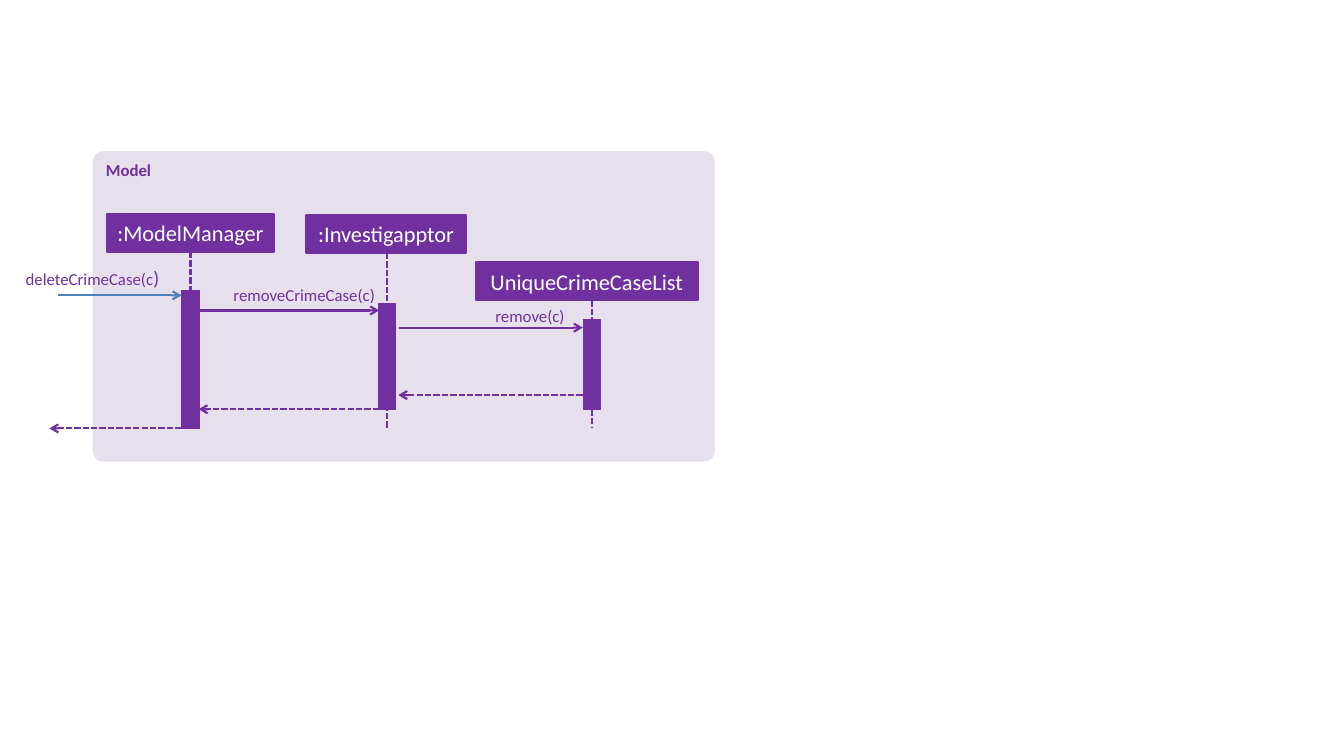
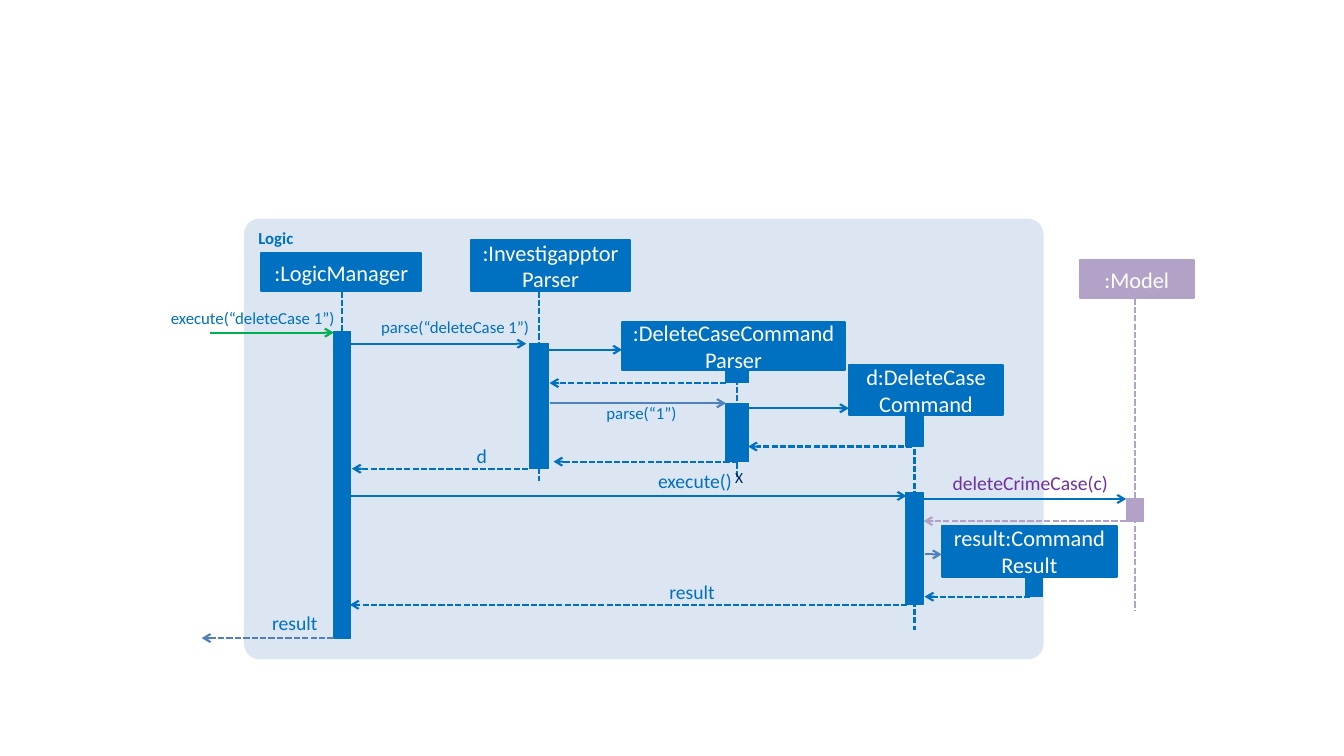
from lxml import etree
from pptx import Presentation, util as u
from pptx.dml.color import RGBColor
from pptx.enum import dml, shapes, text
from pptx.oxml.ns import qn

FONT = "Calibri"
COLOURS = {
    "purple": "7030A0", "lilac": "E6E0EC", "mauve": "B3A2C7",
    "blue": "0070C0", "pale": "DCE6F2", "steel": "4F81BD",
    "green": "00B050", "navy": "002060", "white": "FFFFFF",
}
NAME_SIZE = 16
BLANK_LAYOUT = 6

# Lengths are inches.
# participants: name, head (left, top, width, height), lifeline x, lifeline end or None,
#               bar width, bars as (top, bottom), colour
# messages: from x, to x, y, colour (leftward messages are dashed returns)
# labels: left, top, width, runs as (text, size), colour
DIAGRAMS = [
    {
        "title": "Model", "frame": (0.92, 1.5, 6.17, 3.08), "fill": "lilac", "main": "purple",
        "participants": [
            (":ModelManager", (1.06, 2.12, 1.66, 0.38), 1.89, 4.25, 0.17, [(2.88, 4.25)], "purple"),
            (":Investigapptor", (3.04, 2.13, 1.58, 0.38), 3.84, 4.25, 0.17, [(3.01, 4.06)], "purple"),
            ("UniqueCrimeCaseList", (4.72, 2.6, 2.2, 0.38), 5.87, 4.25, 0.17, [(3.17, 4.06)], "purple"),
        ],
        "messages": [
            (0.58, 1.8, 2.93, "steel"),
            (1.97, 3.76, 3.08, "purple"),
            (3.96, 5.78, 3.25, "purple"),
            (5.78, 3.95, 3.92, "purple"),
            (3.76, 1.97, 4.06, "purple"),
            (1.8, 0.49, 4.25, "purple"),
        ],
        "labels": [
            (-0.16, 2.64, 1.74, [("deleteCrimeCase(c", 12), (")", 14)], "purple"),
            (1.84, 2.82, 1.88, [("removeCrimeCase(c)", 12)], "purple"),
            (4.71, 3.03, 0.89, [("remove(c)", 12)], "purple"),
        ],
    },
    {
        "title": "Logic", "frame": (2.42, 2.17, 7.93, 4.37), "fill": "pale", "main": "blue",
        "participants": [
            (":LogicManager", (2.59, 2.51, 1.59, 0.38), 3.39, 5.75, 0.17, [(3.29, 6.33)], "blue"),
            (":InvestigapptorParser", (4.67, 2.38, 1.58, 0.51), 5.35, 4.77, 0.19, [(3.41, 4.65)], "blue"),
            (":DeleteCaseCommand\nParser", (6.17, 3.2, 2.21, 0.47), 7.31, 4.75, 0.23,
             [(3.67, 3.8), (4, 4.58)], "blue"),
            ("d:DeleteCase\nCommand", (8.42, 3.62, 1.53, 0.5), 9.07, 6.25, 0.17,
             [(4.13, 4.43), (4.89, 6)], "blue"),
            ("result:Command Result", (9.34, 5.22, 1.74, 0.5), 10.26, None, 0.17, [(5.73, 5.92)], "blue"),
            (":Model", (10.71, 2.58, 1.13, 0.38), 11.26, 6.05, 0.17, [(4.95, 5.17)], "mauve"),
        ],
        "messages": [
            (2.08, 3.31, 3.3, "green"),
            (3.47, 5.22, 3.41, "blue"),
            (5.4, 6.17, 3.47, "blue"),
            (7.2, 5.45, 3.8, "blue"),
            (5.45, 7.2, 4, "steel"),
            (7.42, 8.42, 4.05, "blue"),
            (9.05, 7.42, 4.43, "blue"),
            (7.32, 5.49, 4.58, "blue"),
            (5.24, 3.49, 4.65, "blue"),
            (3.47, 8.99, 4.92, "blue"),
            (9.16, 11.17, 4.95, "blue"),
            (11.17, 9.16, 5.17, "mauve"),
            (9.17, 9.34, 5.5, "steel"),
            (10.22, 9.17, 5.92, "blue"),
            (9, 3.47, 6, "blue"),
            (3.31, 2, 6.33, "steel"),
        ],
        "labels": [
            (1.24, 3.05, 2.08, [("execute(“deleteCase 1”)", 12)], "blue"),
            (3.37, 3.14, 1.88, [("parse(“deleteCase 1”)", 12)], "blue"),
            (5.87, 4, 0.84, [("parse(“1”)", 12)], "blue"),
            (4.59, 4.4, 0.24, [("d", 14)], "blue"),
            (6.32, 4.65, 0.94, [("execute()", 14)], "blue"),
            (9.25, 4.67, 1.74, [("deleteCrimeCase(c)", 14)], "purple"),
            (6.41, 5.75, 0.68, [("result", 14)], "blue"),
            (2.32, 6.06, 0.83, [("result", 14)], "blue"),
            (7.17, 4.64, 0.2, [("X", 11)], "navy"),
        ],
    },
]


def rgb(name):
    return RGBColor.from_string(COLOURS[name])


def add_span(para, words, size, colour, bold=False):
    span = para.add_run()
    span.text = words
    span.font.name, span.font.size, span.font.bold = FONT, u.Pt(size), bold
    span.font.color.rgb = rgb(colour)


def add_block(page, kind, area, fill, line_width=None):
    block = page.shapes.add_shape(kind, *map(u.Inches, area))
    block.shadow.inherit = False
    block.fill.solid()
    block.fill.fore_color.rgb = rgb(fill)
    if line_width:
        block.line.color.rgb = rgb(fill)
        block.line.width = u.Pt(line_width)
    else:
        block.line.fill.background()
    return block


def add_line(page, start, end, colour, dashed=False, arrow=False):
    line = page.shapes.add_connector(shapes.MSO_CONNECTOR.STRAIGHT, *map(u.Inches, start + end))
    line.line.color.rgb = rgb(colour)
    line.line.width = u.Pt(1.5)
    if dashed:
        line.line.dash_style = dml.MSO_LINE.SQUARE_DOT
    properties = line._element.spPr
    if arrow:
        etree.SubElement(properties.find(qn("a:ln")), qn("a:tailEnd"), type="arrow")
    etree.SubElement(properties, qn("a:effectLst"))


def add_frame(page, title, area, fill, colour):
    frame = add_block(page, shapes.MSO_SHAPE.ROUNDED_RECTANGLE, area, fill)
    frame.adjustments[0] = 0.035
    frame.text_frame.vertical_anchor = text.MSO_ANCHOR.TOP
    para = frame.text_frame.paragraphs[0]
    para.alignment = text.PP_ALIGN.LEFT
    add_span(para, title, 12, colour, bold=True)


def add_participant(page, name, head, x, life_end, bar_width, bars, colour):
    """Draw a named head, its dashed lifeline and the activation bars centred on it."""
    box = add_block(page, shapes.MSO_SHAPE.RECTANGLE, head, colour, 1.5)
    box.text_frame.word_wrap = True
    box.text_frame.vertical_anchor = text.MSO_ANCHOR.MIDDLE
    para = box.text_frame.paragraphs[0]
    para.alignment = text.PP_ALIGN.CENTER
    for index, words in enumerate(name.split("\n")):
        if index:
            para.add_line_break()
        add_span(para, words, NAME_SIZE, "white")
    if life_end:
        add_line(page, (x, head[1] + head[3]), (x, life_end), colour, dashed=True)
    for top, bottom in bars:
        area = (x - bar_width / 2, top, bar_width, bottom - top)
        add_block(page, shapes.MSO_SHAPE.RECTANGLE, area, colour, 0.75)


def add_label(page, left, top, width, runs, colour):
    height = max(size for _, size in runs) / 60
    box = page.shapes.add_textbox(*map(u.Inches, (left, top, width, height)))
    frame = box.text_frame
    frame.word_wrap = True
    frame.margin_left = frame.margin_right = frame.margin_top = frame.margin_bottom = 0
    para = frame.paragraphs[0]
    para.alignment = text.PP_ALIGN.RIGHT
    for words, size in runs:
        add_span(para, words, size, colour)


def add_diagram(deck, diagram):
    page = deck.slides.add_slide(deck.slide_layouts[BLANK_LAYOUT])
    add_frame(page, diagram["title"], diagram["frame"], diagram["fill"], diagram["main"])
    for participant in diagram["participants"]:
        add_participant(page, *participant)
    for start, end, y, colour in diagram["messages"]:
        add_line(page, (start, y), (end, y), colour, dashed=end < start, arrow=True)
    for label in diagram["labels"]:
        add_label(page, *label)


def main():
    deck = Presentation()
    deck.slide_width, deck.slide_height = u.Inches(13.33), u.Inches(7.5)
    for diagram in DIAGRAMS:
        add_diagram(deck, diagram)
    deck.save("out.pptx")


if __name__ == "__main__":
    main()
